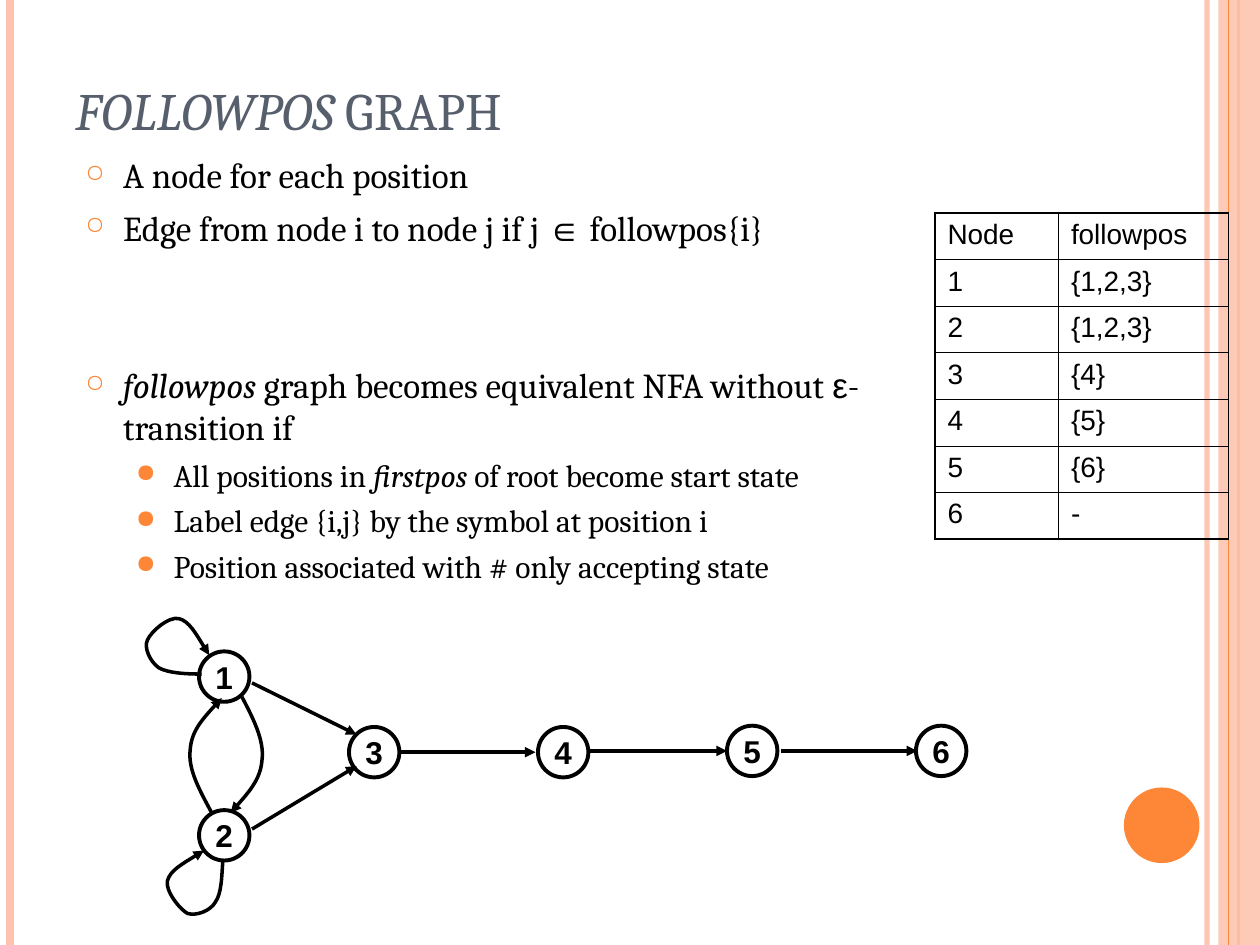
"""Build the followpos graph slide."""
from lxml import etree
from pptx import Presentation
from pptx.dml.color import RGBColor
from pptx.enum.shapes import MSO_CONNECTOR, MSO_SHAPE
from pptx.enum.text import MSO_ANCHOR, PP_ALIGN
from pptx.oxml.ns import qn
from pptx.util import Inches, Pt

STRAIGHT = MSO_CONNECTOR.STRAIGHT
OVAL, RECT = MSO_SHAPE.OVAL, MSO_SHAPE.RECTANGLE
BOTTOM, MIDDLE = MSO_ANCHOR.BOTTOM, MSO_ANCHOR.MIDDLE
CENTER = PP_ALIGN.CENTER

COLORS = {"black": "000000", "title": "575F6D", "accent": "FE8637", "pale": "FEC3AE"}
BULLETS = [
    dict(char="○", scale=70, indent=0.3, size=20, before=6),
    dict(char="●", scale=80, indent=0.7, size=18, before=4.5),
]
BODY = [
    (0, 0, ["A node for each position"]),
    (0, 6, ["Edge from node i to node j if j ", ("∈", {"font": "Arial"}), " followpos{i}"]),
    (0, 66, [("followpos", {"italic": True}), " graph becomes equivalent NFA without ",
             ("ε", {"font": "Arial"}), "-transition if"]),
    (1, 4.5, ["All positions in ", ("firstpos", {"italic": True}), " of root become start state"]),
    (1, 4.5, ["Label edge {i,j} by the symbol at position i"]),
    (1, 4.5, ["Position associated with # only accepting state"]),
]
FOLLOWPOS = [("Node", "followpos"), ("1", "{1,2,3}"), ("2", "{1,2,3}"), ("3", "{4}"),
             ("4", "{5}"), ("5", "{6}"), ("6", "-")]
NODES = [(1.58, 5.17), (1.58, 6.43), (2.77, 5.77), (4.27, 5.77), (5.77, 5.76), (7.27, 5.76)]
EDGES = [(2, 5.42, 2.83, 5.83), (2, 6.58, 2.83, 6.08), (3.17, 5.97, 4.25, 5.97),
         (4.68, 5.96, 5.77, 5.96), (6.2, 5.96, 7.28, 5.96)]
CURVES = [
    [(1.92, 5.53), (2.01, 5.7), (2.1, 5.88), (2.08, 6.03),
     (2.07, 6.18), (1.95, 6.32), (1.83, 6.45)],
    [(1.68, 6.45), (1.59, 6.28), (1.49, 6.11), (1.51, 5.95),
     (1.52, 5.8), (1.64, 5.67), (1.76, 5.54)],
    [(1.6, 5.35), (1.46, 5.35), (1.33, 5.34), (1.26, 5.3), (1.19, 5.25), (1.14, 5.14),
     (1.17, 5.08), (1.2, 5.01), (1.34, 4.89), (1.42, 4.91), (1.5, 4.93), (1.58, 5.07),
     (1.66, 5.2)],
    [(1.77, 6.82), (1.76, 6.96), (1.76, 7.09), (1.71, 7.16), (1.67, 7.23), (1.56, 7.27),
     (1.49, 7.25), (1.43, 7.22), (1.31, 7.07), (1.33, 6.99), (1.35, 6.91), (1.49, 6.83),
     (1.62, 6.75)],
]


def rgb(name):
    return RGBColor.from_string(COLORS[name])


def child(parent, tag, **attrs):
    return etree.SubElement(parent, qn(tag), {k: str(v) for k, v in attrs.items()})


def add_run(p, text, font="Cambria", size=20, color="black", bold=False, italic=False):
    r = p.add_run()
    r.text = text
    r.font.name, r.font.size = font, Pt(size)
    r.font.bold, r.font.italic = bold, italic
    r.font.color.rgb = rgb(color)


def set_alpha(sp, percent):
    clr = next(sp._element.spPr.iter(qn("a:srgbClr")))
    child(clr, "a:alpha", val=percent * 1000)


class SlideBuilder:
    """Hold the style and the current slide."""

    def __init__(self, prs):
        self.s = prs.slides.add_slide(prs.slide_layouts[6])
        self.edge_width = 2

    def stroke(self, sp, color, width, arrow=False):
        sp.line.color.rgb = rgb(color)
        sp.line.width = Pt(width)
        if arrow:
            child(sp.line._get_or_add_ln(), "a:tailEnd", type="triangle")

    def line(self, x1, y1, x2, y2, color="black", width=None, arrow=False):
        sp = self.s.shapes.add_connector(STRAIGHT, *map(Inches, (x1, y1, x2, y2)))
        self.stroke(sp, color, width or self.edge_width, arrow)
        child(sp._element.spPr, "a:effectLst")
        return sp

    def shape(self, kind, x, y, w, h, fill=None):
        sp = self.s.shapes.add_shape(kind, *map(Inches, (x, y, w, h)))
        sp.shadow.inherit = False
        sp.line.fill.background()
        if fill:
            sp.fill.solid()
            sp.fill.fore_color.rgb = rgb(fill)
        else:
            sp.fill.background()
        return sp

    def node(self, label, x, y):
        sp = self.shape(OVAL, x, y, 0.4, 0.4)
        self.stroke(sp, "black", 2.25)
        tf = sp.text_frame
        tf.word_wrap, tf.vertical_anchor = False, MIDDLE
        p = tf.paragraphs[0]
        p.alignment = CENTER
        add_run(p, label, font="Arial", size=18, bold=True)

    def curve(self, points):
        start, *rest = [(Inches(x), Inches(y)) for x, y in points]
        builder = self.s.shapes.build_freeform(*start)
        builder.add_line_segments(rest, close=False)
        sp = builder.convert_to_shape()
        sp.shadow.inherit = False
        sp.fill.background()
        self.stroke(sp, "black", self.edge_width, arrow=True)
        outline = next(sp._element.iter(qn("a:path")))
        segments = outline.findall(qn("a:lnTo"))
        for i in range(0, len(segments), 3):
            bezier = child(outline, "a:cubicBezTo")
            for segment in segments[i:i + 3]:
                bezier.append(segment[0])
                outline.remove(segment)

    def text_box(self, x, y, w, h):
        tf = self.s.shapes.add_textbox(*map(Inches, (x, y, w, h))).text_frame
        tf.word_wrap = True
        return tf

    def title(self):
        tf = self.text_box(0.5, 0.3, 8.17, 0.87)
        tf.vertical_anchor = BOTTOM
        p = tf.paragraphs[0]
        add_run(p, "FOLLOWPOS", size=30, color="title", italic=True)
        add_run(p, " GRAPH", size=30, color="title")

    def body(self):
        tf = self.text_box(0.58, 1.17, 6.5, 6.17)
        for i, (level, before, runs) in enumerate(BODY):
            style = BULLETS[level]
            p = tf.add_paragraph() if i else tf.paragraphs[0]
            p.level, p.space_before = level, Pt(before)
            pPr = p._p.get_or_add_pPr()
            pPr.set("marL", str(Inches(style["indent"])))
            pPr.set("indent", str(Inches(-0.3)))
            child(child(pPr, "a:buClr"), "a:srgbClr", val=COLORS["accent"])
            child(pPr, "a:buSzPct", val=style["scale"] * 1000)
            child(pPr, "a:buChar", char=style["char"])
            for item in runs:
                text, fmt = (item, {}) if isinstance(item, str) else item
                add_run(p, text, size=style["size"], **fmt)

    def table(self, rows, x, y, widths, row_height):
        n, m = len(rows), len(widths)
        frame = self.s.shapes.add_table(n, m, *map(Inches, (x, y, sum(widths), n * row_height)))
        tbl = frame.table
        tbl.first_row = tbl.horz_banding = False
        for col, width in zip(tbl.columns, widths):
            col.width = Inches(width)
        for i, row in enumerate(rows):
            tbl.rows[i].height = Inches(row_height)
            for j, text in enumerate(row):
                cell = tbl.cell(i, j)
                add_run(cell.text_frame.paragraphs[0], text, font="Arial", size=16)
                cell.fill.background()
                outer = {"L": j == 0, "R": j == m - 1, "T": i == 0, "B": i == n - 1}
                self.borders(cell, outer)

    def borders(self, cell, outer):
        tcPr = cell._tc.get_or_add_tcPr()
        for k, (side, is_outer) in enumerate(outer.items()):
            ln = child(tcPr, f"a:ln{side}", w=Pt(1.08 if is_outer else 0.45))
            child(child(ln, "a:solidFill"), "a:srgbClr", val=COLORS["black"])
            tcPr.insert(k, ln)


def main():
    prs = Presentation()
    prs.slide_width, prs.slide_height = Inches(10), Inches(7.5)
    b = SlideBuilder(prs)
    set_alpha(b.line(9.58, 0, 9.58, 7.5, "pale", 3), 93)
    b.line(0.08, 0, 0.08, 7.5, "pale", 4.5)
    b.line(9.83, 0, 9.83, 7.5, "accent", 1.5)
    set_alpha(b.shape(RECT, 9.67, 0, 0.33, 7.5, "pale"), 87)
    b.line(9.75, 0, 9.75, 7.5, "accent", 0.75)
    b.shape(OVAL, 8.92, 6.25, 0.6, 0.6, "accent")
    b.title()
    b.body()
    b.table(FOLLOWPOS, 7.42, 1.69, [0.98, 1.35], 0.37)
    for number, (x, y) in enumerate(NODES, 1):
        b.node(str(number), x, y)
    for points in CURVES:
        b.curve(points)
    for edge in EDGES:
        b.line(*edge, arrow=True)
    prs.save("out.pptx")


if __name__ == "__main__":
    main()
